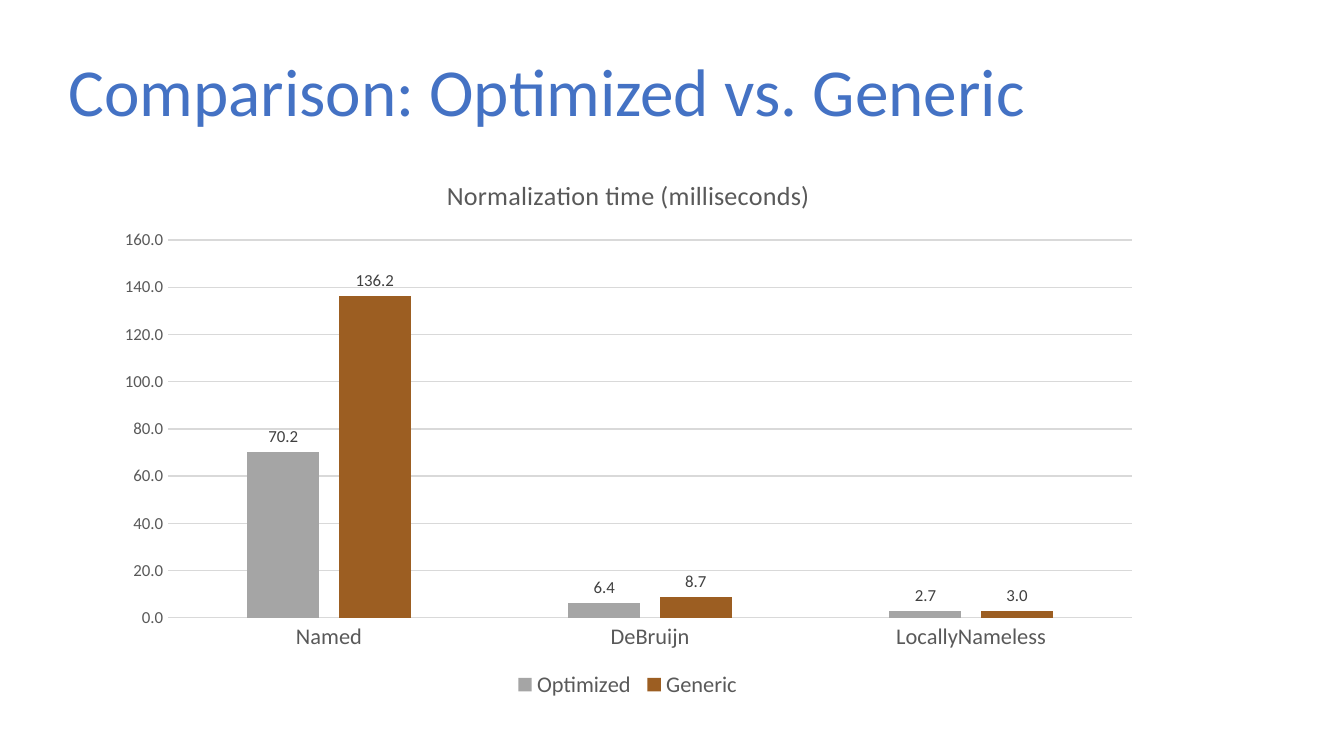
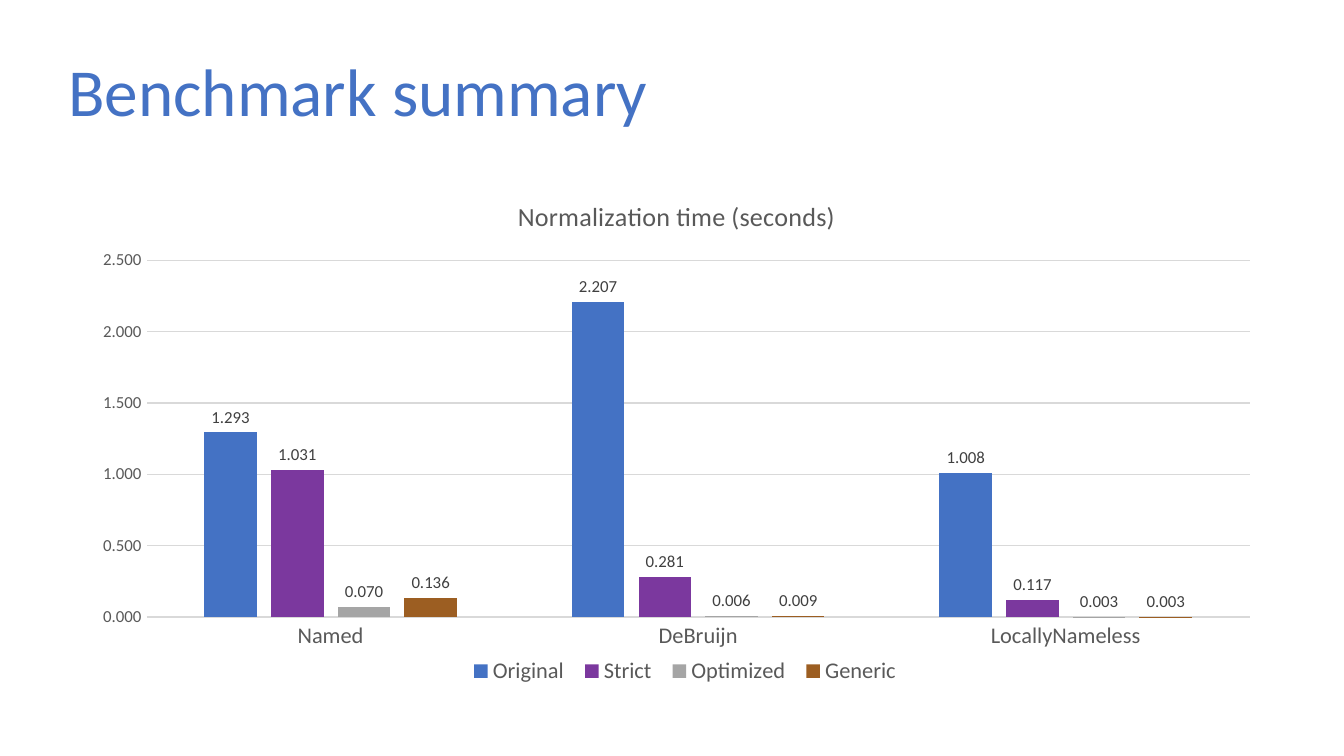
from lxml import etree
from pptx import Presentation
from pptx import util as u
from pptx.chart import data as chart_data
from pptx.dml import color
from pptx.enum import chart as ec
from pptx.enum import text
from pptx.oxml import ns

FONT = "Calibri"
COLORS = {
    "background": "FFFFFF",
    "heading": "4472C4",
    "chart": "000000",
    "caption": "595959",
    "value": "404040",
    "rule": "D9D9D9",
    "Original": "4472C4",
    "Strict": "7B389E",
    "Optimized": "A5A5A5",
    "Generic": "9C5E22",
}
ENCODINGS = ["Named", "DeBruijn", "LocallyNameless"]
HEADING_BOX = (4.1, 4.63, 86.2, 15.84)

COMPARISON = {
    "heading": "Comparison: Optimized vs. Generic",
    "caption": "Normalization time (milliseconds)",
    "box": (7.7, 20.44, 78, 73.07),
    "format": "0.0",
    "scale": (160, 20),
    "times": {"Optimized": (70.2, 6.4, 2.7), "Generic": (136.2, 8.7, 3.0)},
    "plot": (6.2, 15.5, 91.9, 68.4),
    "caption_at": (32.3, 3.3),
    "legend": (38.7, 94, 22.6, 6),
}
SUMMARY = {
    "heading": "Benchmark summary",
    "caption": "Normalization time (seconds)",
    "box": (5.9, 23.29, 88.9, 70.04),
    "format": "0.000",
    "scale": (2.5, 0.5),
    "times": {
        "Original": (1.293, 2.207, 1.008),
        "Strict": (1.031, 0.281, 0.117),
        "Optimized": (0.070, 0.006, 0.003),
        "Generic": (0.136, 0.009, 0.003),
    },
    "plot": (5.65, 15.9, 92.3, 67.4),
    "caption_at": (36.3, 3.3),
    "legend": (31.9, 90, 37.6, 7),
}


def rgb(name):
    return color.RGBColor.from_string(COLORS[name])


def style(font, size, name):
    font.name = FONT
    font.size = u.Pt(size)
    font.bold = False
    font.color.rgb = rgb(name)


def rule(line):
    line.color.rgb = rgb("rule")
    line.width = u.Pt(0.75)


def place(part, index, shares, inner=False):
    for old in part.findall(ns.qn("c:layout")):
        part.remove(old)
    layout = etree.Element(ns.qn("c:layout"))
    manual = etree.SubElement(layout, ns.qn("c:manualLayout"))
    settings = [("layoutTarget", "inner")] if inner else []
    settings += [("xMode", "edge"), ("yMode", "edge")]
    settings += [(key, str(round(share / 100, 4))) for key, share in zip("xywh", shares)]
    for key, value in settings:
        etree.SubElement(manual, ns.qn("c:" + key)).set("val", value)
    part.insert(index, layout)


def on_slide(deck, box):
    sides = (deck.slide_width, deck.slide_height) * 2
    return [round(side * percent / 100) for side, percent in zip(sides, box)]


def add_heading(slide, wording, box):
    frame = slide.shapes.add_textbox(*box).text_frame
    frame.word_wrap = True
    frame.vertical_anchor = text.MSO_ANCHOR.MIDDLE
    paragraph = frame.paragraphs[0]
    paragraph.line_spacing = 0.9
    run = paragraph.add_run()
    run.text = wording
    style(run.font, 36, "heading")


def style_axes(chart, number_format, scale):
    for axis, size in ((chart.category_axis, 12), (chart.value_axis, 9)):
        axis.major_tick_mark = axis.minor_tick_mark = ec.XL_TICK_MARK.NONE
        style(axis.tick_labels.font, size, "caption")
    chart.category_axis.has_major_gridlines = False
    rule(chart.category_axis.format.line)
    times = chart.value_axis
    times.minimum_scale = 0
    times.maximum_scale, times.major_unit = scale
    times.tick_labels.number_format = number_format
    times.tick_labels.number_format_is_linked = False
    times.format.line.fill.background()
    rule(times.major_gridlines.format.line)


def style_bars(plot, number_format):
    plot.gap_width = 219
    plot.overlap = -27
    plot.vary_by_categories = False
    for bars in plot.series:
        bars.format.fill.solid()
        bars.format.fill.fore_color.rgb = rgb(bars.name)
        bars.invert_if_negative = False
        labels = bars.data_labels
        labels.show_value = True
        labels.number_format = number_format
        labels.number_format_is_linked = False
        labels.position = ec.XL_LABEL_POSITION.OUTSIDE_END
        style(labels.font, 9, "value")


def add_timings(slide, benchmark, box):
    timings = chart_data.CategoryChartData(number_format=benchmark["format"])
    timings.categories = ENCODINGS
    for variant, times in benchmark["times"].items():
        timings.add_series(variant, times)
    chart = slide.shapes.add_chart(
        ec.XL_CHART_TYPE.COLUMN_CLUSTERED, *box, timings
    ).chart
    style(chart.font, 10, "chart")
    style_axes(chart, benchmark["format"], benchmark["scale"])
    style_bars(chart.plots[0], benchmark["format"])

    chart.has_title = True
    caption = chart.chart_title.text_frame.paragraphs[0].add_run()
    caption.text = benchmark["caption"]
    style(caption.font, 14, "caption")

    chart.has_legend = True
    chart.legend.position = ec.XL_LEGEND_POSITION.BOTTOM
    chart.legend.include_in_layout = False
    style(chart.legend.font, 12, "caption")

    root = chart.element
    place(root.find(".//" + ns.qn("c:plotArea")), 0, benchmark["plot"], inner=True)
    place(root.find(".//" + ns.qn("c:title")), 1, benchmark["caption_at"])
    place(root.find(".//" + ns.qn("c:legend")), 1, benchmark["legend"])


def add_benchmark_slide(deck, benchmark):
    slide = deck.slides.add_slide(deck.slide_layouts[6])
    slide.background.fill.solid()
    slide.background.fill.fore_color.rgb = rgb("background")
    add_heading(slide, benchmark["heading"], on_slide(deck, HEADING_BOX))
    add_timings(slide, benchmark, on_slide(deck, benchmark["box"]))


def main():
    deck = Presentation()
    deck.slide_width = u.Inches(10)
    deck.slide_height = deck.slide_width * 9 // 16
    for benchmark in (COMPARISON, SUMMARY):
        add_benchmark_slide(deck, benchmark)
    deck.save("out.pptx")


if __name__ == "__main__":
    main()
